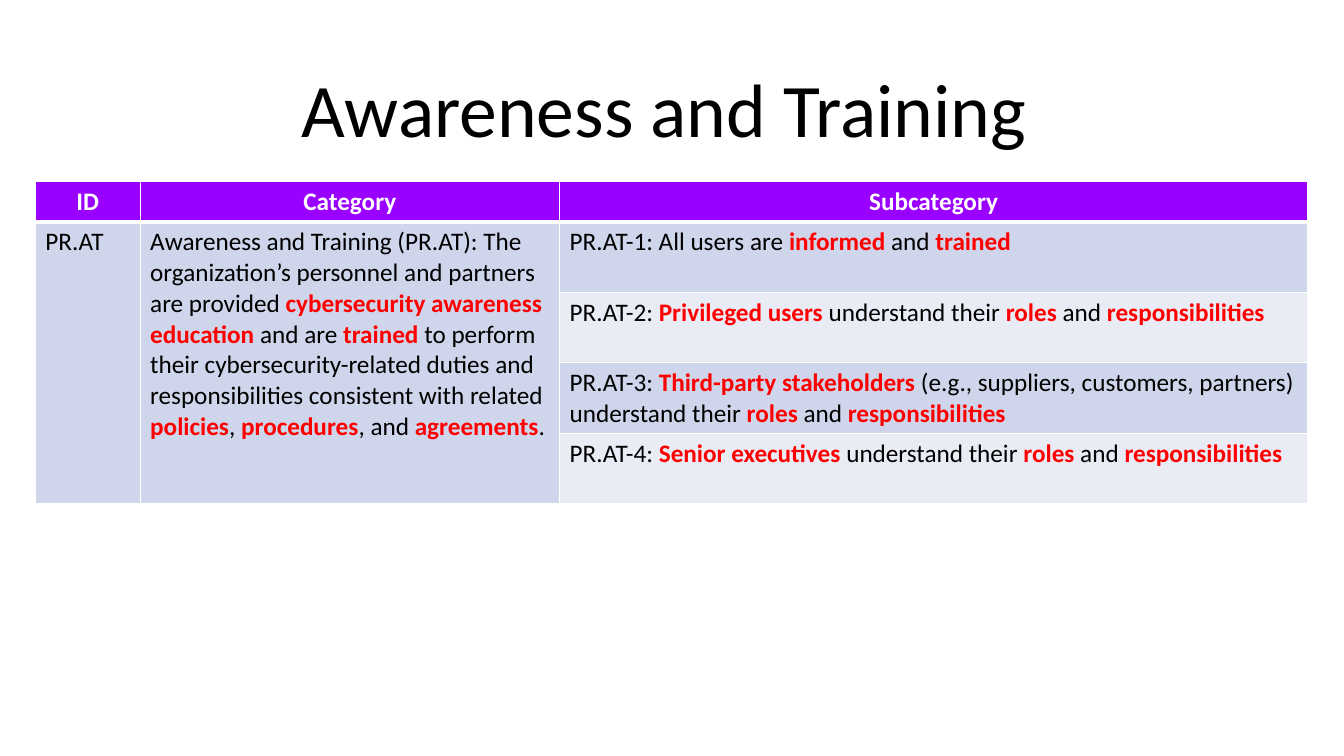
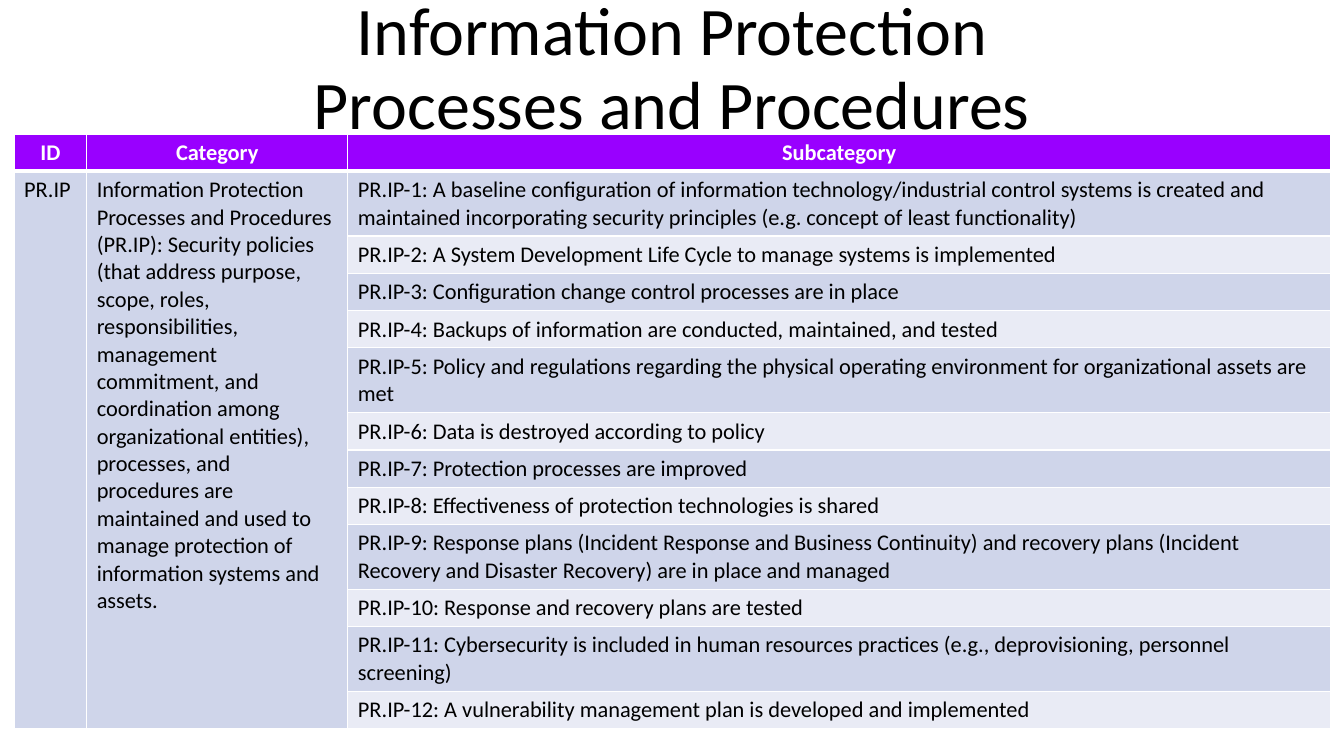
import pptx
import pptx.util
import pptx.dml.color
import pptx.enum.text
import pptx.oxml
import pptx.oxml.ns

COLORS = {
    "white": "FFFFFF",
    "black": "000000",
    "header": "9900FF",
    "key": "FF0000",
    "odd": "CFD5EA",
    "even": "E9EBF5",
}
FONT = "Calibri"
HEADINGS = ["ID", "Category", "Subcategory"]
CENTER = pptx.enum.text.PP_ALIGN.CENTER
LEFT = pptx.enum.text.PP_ALIGN.LEFT

prs = pptx.Presentation()
prs.slide_width = pptx.util.Inches(13.33)
prs.slide_height = pptx.util.Inches(7.5)


def across(percent):
    return round(prs.slide_width * percent / 100)


def write(tf, text, size, color="black", bold=False, align=LEFT, spacing=None):
    p = tf.paragraphs[0]
    p.alignment = align
    p.line_spacing = spacing
    for n, line in enumerate(text.split("\n")):
        if n:
            p.add_line_break()
        for i, part in enumerate(line.split("*")):
            if not part:
                continue
            key = i % 2 == 1
            r = p.add_run()
            r.text = part
            r.font.name = FONT
            r.font.size = pptx.util.Pt(size)
            r.font.bold = bold or key
            r.font.color.rgb = pptx.dml.color.RGBColor.from_string(COLORS["key" if key else color])


SLIDES = [
    {
        "title": "Awareness and Training ",
        "title_size": 54,
        "title_box": (6.9, 5.33, 86.27, 19.33),
        "table_at": (2.63, 24),
        "columns": (7.8, 31.21, 55.66),
        "row_heights": [9.33] * 4,
        "size": 18,
        "id": "PR.AT",
        "category": "Awareness and Training (PR.AT): The organization’s personnel and partners are provided "
                    "*cybersecurity awareness education* and are *trained* to perform their "
                    "cybersecurity-related duties and responsibilities consistent with related "
                    "*policies*,* procedures*, and *agreements*.",
        "subcategories": [
            "All users are *informed* and *trained*",
            "*Privileged users* understand their *roles* and *responsibilities*",
            "*Third-party stakeholders* (e.g., suppliers, customers, partners) "
            "understand their *roles* and *responsibilities*",
            "*Senior executives* understand their *roles* and *responsibilities*",
        ],
    },
    {
        "title": "Information Protection \nProcesses and Procedures ",
        "title_size": 48.6,
        "title_box": (1.13, 0.93, 98.87, 16.8),
        "table_at": (1.05, 17.73),
        "columns": (5.4, 19.43, 73.14),
        "row_heights": [8.57 if n in (1, 5, 9, 11) else 4.93 for n in range(1, 13)],
        "size": 16,
        "id": "PR.IP",
        "category": "Information Protection Processes and Procedures (PR.IP): Security policies "
                    "(that address purpose, scope, roles, responsibilities, management commitment, "
                    "and coordination among organizational entities), processes, and procedures are "
                    "maintained and used to manage protection of information systems and assets.",
        "subcategories": [
            "A baseline configuration of information technology/industrial control systems is created "
            "and maintained incorporating security principles (e.g. concept of least functionality)",
            "A System Development Life Cycle to manage systems is implemented",
            "Configuration change control processes are in place",
            "Backups of information are conducted, maintained, and tested",
            "Policy and regulations regarding the physical operating environment for organizational "
            "assets are met",
            "Data is destroyed according to policy",
            "Protection processes are improved",
            "Effectiveness of protection technologies is shared",
            "Response plans (Incident Response and Business Continuity) and recovery plans "
            "(Incident Recovery and Disaster Recovery) are in place and managed",
            "Response and recovery plans are tested",
            "Cybersecurity is included in human resources practices (e.g., deprovisioning, "
            "personnel screening)",
            "A vulnerability management plan is developed and implemented",
        ],
    },
]

for data in SLIDES:
    s = prs.slides.add_slide(prs.slide_layouts[6])
    x, y, w, h = data["title_box"]
    sp = s.shapes.add_textbox(across(x), round(prs.slide_height * y / 100),
                              across(w), round(prs.slide_height * h / 100))
    tf = sp.text_frame
    tf.word_wrap = True
    tf.vertical_anchor = pptx.enum.text.MSO_ANCHOR.MIDDLE
    write(tf, data["title"], data["title_size"], align=CENTER, spacing=0.9)

    x, y = data["table_at"]
    heights = [round(prs.slide_height * h / 100) for h in [4.93] + data["row_heights"]]
    table = s.shapes.add_table(len(heights), len(HEADINGS), across(x), round(prs.slide_height * y / 100),
                               across(sum(data["columns"])), sum(heights)).table
    table.horz_banding = False
    for column, width in zip(table.columns, data["columns"]):
        column.width = across(width)
    for row, height in zip(table.rows, heights):
        row.height = height

    for row in range(len(heights)):
        for col in range(len(HEADINGS)):
            cell = table.cell(row, col)
            band = "header" if row == 0 else "even" if col == 2 and row % 2 == 0 else "odd"
            cell.fill.solid()
            cell.fill.fore_color.rgb = pptx.dml.color.RGBColor.from_string(COLORS[band])
            tcPr = cell._tc.get_or_add_tcPr()
            for i, side in enumerate("LRTB"):
                thick = (row, side) in ((0, "B"), (1, "T"))
                tcPr.insert(i, pptx.oxml.parse_xml(
                    f'<a:ln{side} {pptx.oxml.ns.nsdecls("a")} w="{pptx.util.Pt(3 if thick else 1)}">'
                    f'<a:solidFill><a:srgbClr val="{COLORS["white"]}"/></a:solidFill></a:ln{side}>'))

    for col, heading in enumerate(HEADINGS):
        write(table.cell(0, col).text_frame, heading, data["size"], color="white", bold=True, align=CENTER)
    for col, text in enumerate([data["id"], data["category"]]):
        table.cell(1, col).merge(table.cell(len(heights) - 1, col))
        write(table.cell(1, col).text_frame, text, data["size"])
    for row, text in enumerate(data["subcategories"], 1):
        write(table.cell(row, 2).text_frame, f"{data['id']}-{row}: {text}", data["size"])

prs.save("out.pptx")
